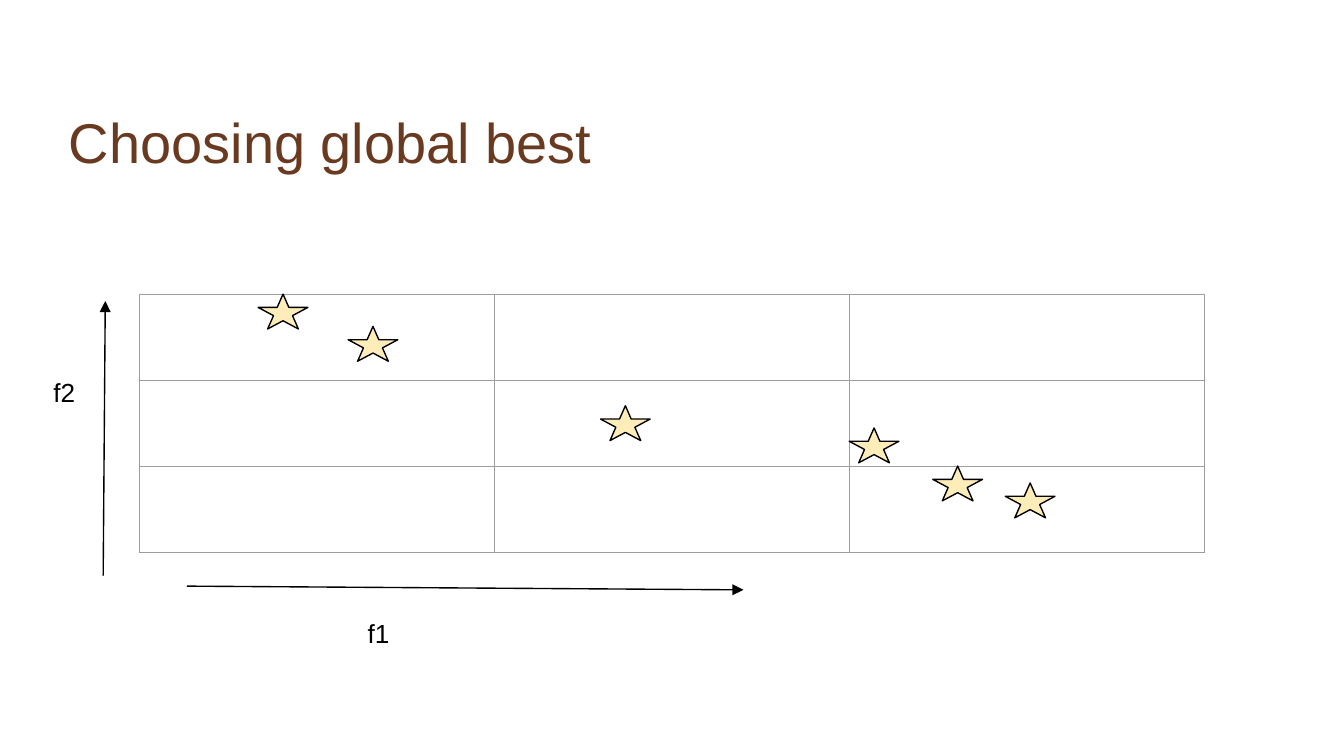
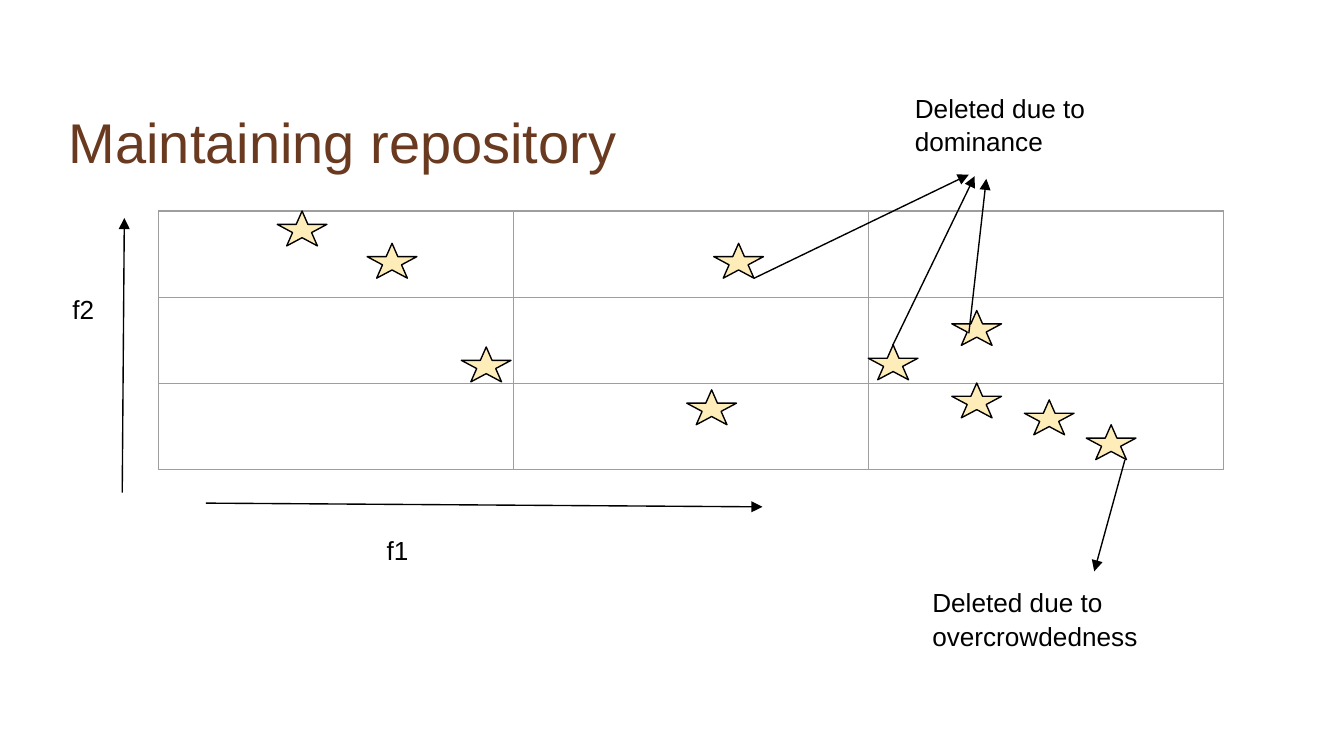
"""Two slides on particle selection in an objective grid."""
from dataclasses import dataclass

from lxml import etree
from pptx import Presentation
from pptx.dml.color import RGBColor
from pptx.enum.shapes import MSO_CONNECTOR, MSO_SHAPE
from pptx.enum.text import MSO_ANCHOR, MSO_AUTO_SIZE, PP_ALIGN
from pptx.oxml.ns import qn
from pptx.util import Cm, Pt

STAR = MSO_SHAPE.STAR_5_POINT
STRAIGHT = MSO_CONNECTOR.STRAIGHT
LEFT = PP_ALIGN.LEFT
TOP, BOTTOM = MSO_ANCHOR.TOP, MSO_ANCHOR.BOTTOM
NO_FIT = MSO_AUTO_SIZE.NONE

BROWN = RGBColor(0x6A, 0x3A, 0x20)
BLACK = RGBColor(0, 0, 0)
CREAM = RGBColor(0xFF, 0xED, 0xB9)
GREY = RGBColor(0x9E, 0x9E, 0x9E)
WHITE = RGBColor(0xFF, 0xFF, 0xFF)

FONT = "Arial"
LINE_WIDTH = Pt(0.75)
GRID_SIZE = 3
COL_WIDTH, ROW_HEIGHT = 6.71, 1.63
STAR_WIDTH, STAR_HEIGHT = 0.94, 0.66
TITLE_BOX = {"left": Cm(1.12), "top": Cm(0.97), "width": Cm(20.32), "height": Cm(2.44)}
TITLE_FRAME = {
    "margin_left": Cm(0.18), "margin_right": Cm(0.18),
    "margin_top": Cm(0.1), "margin_bottom": Cm(0.1),
    "vertical_anchor": BOTTOM, "auto_size": NO_FIT, "word_wrap": True,
}
NOTE_FRAME = {
    "margin_left": Cm(0.25), "margin_right": Cm(0.25), "margin_bottom": Cm(0.25),
    "vertical_anchor": TOP, "auto_size": NO_FIT, "word_wrap": True,
}


@dataclass(frozen=True)
class Point:
    """A place in centimetres."""
    x: float
    y: float

    def shift(self, by: "Point") -> "Point":
        """Return the point moved by another."""
        return Point(self.x + by.x, self.y + by.y)


@dataclass(frozen=True)
class Arrow:
    """An arrow from start to its head at end."""
    start: Point
    end: Point


@dataclass(frozen=True)
class Note:
    """A text box with its size and top inset."""
    text: str
    at: Point
    width: float
    height: float
    inset: float = 0.25


@dataclass(frozen=True)
class Plot:
    """One slide; stars are measured from the grid origin."""
    title: str
    origin: Point
    stars: tuple[Point, ...]
    arrows: tuple[Arrow, ...] = ()
    notes: tuple[Note, ...] = ()


AXES = (
    Arrow(Point(0.89, 5.52), Point(11.41, 5.59)),
    Arrow(Point(-0.69, 5.32), Point(-0.65, 0.13)),
)
AXIS_LABELS = (("f1", Point(4.06, 5.82)), ("f2", Point(-1.88, 1.26)))
SHARED_STARS = (
    Point(2.24, 0), Point(3.94, 0.61), Point(14.99, 3.25),
    Point(16.36, 3.57), Point(13.41, 2.53),
)
PLOTS = (
    Plot("Choosing global best", Point(2.64, 5.56), SHARED_STARS + (Point(8.71, 2.11),)),
    Plot(
        "Maintaining repository", Point(3, 3.99),
        SHARED_STARS + (
            Point(10.49, 0.61), Point(14.99, 1.88), Point(17.53, 4.04),
            Point(9.98, 3.38), Point(5.72, 2.57),
        ),
        (
            Arrow(Point(14.25, 5.26), Point(18.31, 3.3)),
            Arrow(Point(18.31, 6.3), Point(18.64, 3.38)),
            Arrow(Point(16.87, 6.53), Point(18.42, 3.33)),
            Arrow(Point(21.26, 8.69), Point(20.68, 10.8)),
        ),
        (
            Note("Deleted due to dominance", Point(17.04, 0.84), 6.2, 2.24, 0.86),
            Note("Deleted due to overcrowdedness", Point(17.37, 10.8), 7.21, 2.24),
        ),
    ),
)


def apply(target, values: dict) -> None:
    """Set each named attribute on the target."""
    for name, value in values.items():
        setattr(target, name, value)


def write(tf, text: str, size: int, color: RGBColor):
    """Put one left-aligned run in a text frame and return its paragraph."""
    p = tf.paragraphs[0]
    p.alignment = LEFT
    r = p.add_run()
    r.text = text
    apply(r.font, {"name": FONT, "size": Pt(size)})
    r.font.color.rgb = color
    return p


def add_title(s, text: str) -> None:
    """Place and format the title placeholder."""
    sp = s.shapes.title
    apply(sp, TITLE_BOX)
    apply(sp.text_frame, TITLE_FRAME)
    write(sp.text_frame, text, 30, BROWN)


def add_note(s, note: Note) -> None:
    """Draw a text box."""
    sp = s.shapes.add_textbox(
        Cm(note.at.x), Cm(note.at.y), Cm(note.width), Cm(note.height))
    tf = sp.text_frame
    apply(tf, NOTE_FRAME | {"margin_top": Cm(note.inset)})
    p = write(tf, note.text, 14, BLACK)
    p.line_spacing = 1.07


def add_arrow(s, arrow: Arrow) -> None:
    """Draw a straight arrow."""
    a, b = arrow.start, arrow.end
    cx = s.shapes.add_connector(STRAIGHT, Cm(a.x), Cm(a.y), Cm(b.x), Cm(b.y))
    cx.line.color.rgb = BLACK
    cx.line.width = LINE_WIDTH
    sp_pr = cx.line._get_or_add_ln().getparent()
    etree.SubElement(sp_pr.find(qn("a:ln")), qn("a:tailEnd"), type="triangle")
    etree.SubElement(sp_pr, qn("a:effectLst"))


def add_star(s, at: Point) -> None:
    """Draw one solution as a star."""
    sp = s.shapes.add_shape(STAR, Cm(at.x), Cm(at.y), Cm(STAR_WIDTH), Cm(STAR_HEIGHT))
    sp.shadow.inherit = False
    sp.fill.solid()
    sp.fill.fore_color.rgb = CREAM
    sp.line.color.rgb = BLACK
    sp.line.width = LINE_WIDTH


def add_borders(cell) -> None:
    """Outline a cell on all sides."""
    tc_pr = cell._tc.get_or_add_tcPr()
    for i, side in enumerate(("lnL", "lnR", "lnT", "lnB")):
        ln = etree.Element(qn(f"a:{side}"), w=str(LINE_WIDTH))
        fill = etree.SubElement(ln, qn("a:solidFill"))
        etree.SubElement(fill, qn("a:srgbClr"), val=str(GREY))
        tc_pr.insert(i, ln)


def add_grid(s, at: Point) -> None:
    """Draw the empty objective grid."""
    table = s.shapes.add_table(
        GRID_SIZE, GRID_SIZE, Cm(at.x), Cm(at.y),
        Cm(COL_WIDTH * GRID_SIZE), Cm(ROW_HEIGHT * GRID_SIZE)).table
    apply(table, {"first_row": False, "horz_banding": False})
    for col in table.columns:
        col.width = Cm(COL_WIDTH)
    for row in table.rows:
        row.height = Cm(ROW_HEIGHT)
    for cell in table.iter_cells():
        cell.fill.background()
        add_borders(cell)


def add_plot(prs, plot: Plot) -> None:
    """Build one slide."""
    s = prs.slides.add_slide(prs.slide_layouts[5])
    s.background.fill.solid()
    s.background.fill.fore_color.rgb = WHITE
    add_title(s, plot.title)
    add_grid(s, plot.origin)
    for axis in AXES:
        add_arrow(s, Arrow(axis.start.shift(plot.origin), axis.end.shift(plot.origin)))
    for text, at in AXIS_LABELS:
        add_note(s, Note(text, at.shift(plot.origin), 1.22, 1.27))
    for star in plot.stars:
        add_star(s, star.shift(plot.origin))
    for arrow in plot.arrows:
        add_arrow(s, arrow)
    for note in plot.notes:
        add_note(s, note)


def main() -> None:
    """Build and save the deck."""
    prs = Presentation()
    apply(prs, {"slide_width": Cm(25.4), "slide_height": Cm(14.29)})
    for plot in PLOTS:
        add_plot(prs, plot)
    prs.save("out.pptx")


if __name__ == "__main__":
    main()
